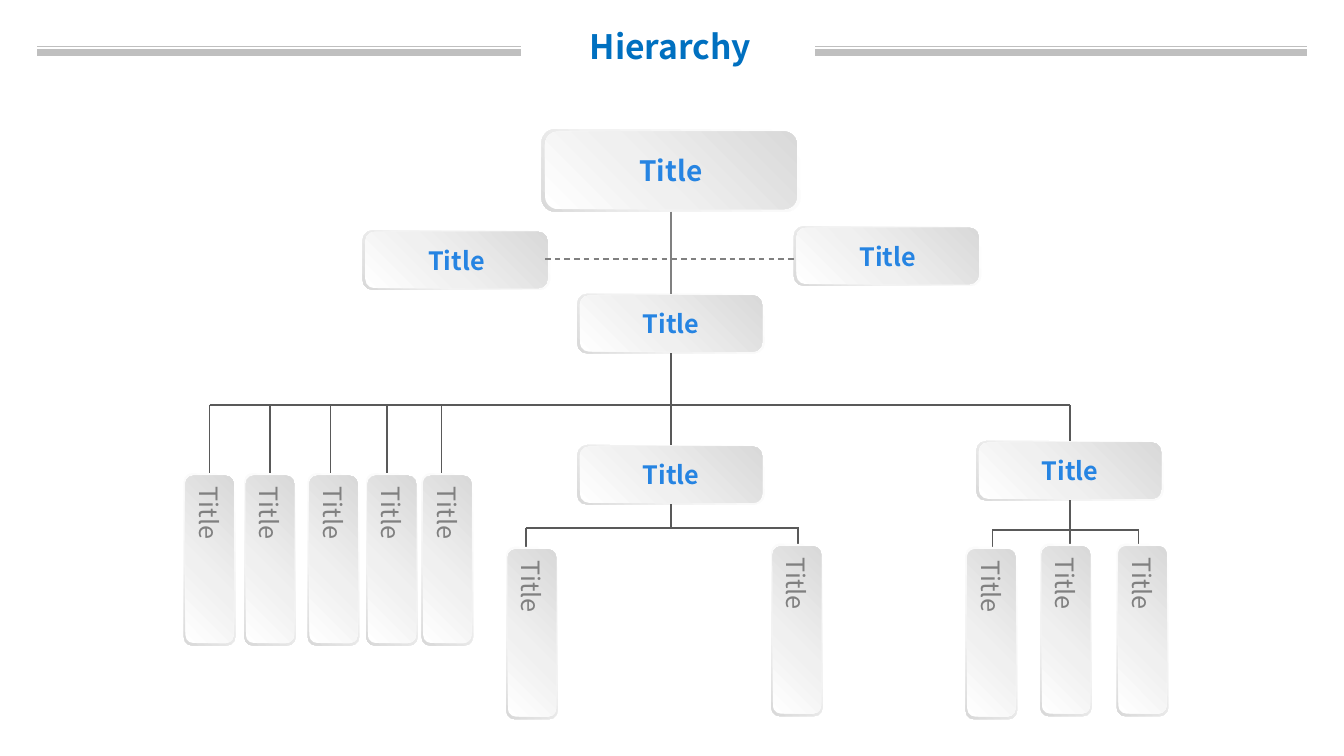
from dataclasses import dataclass
from typing import Optional

from lxml import etree
from pptx import Presentation
from pptx.dml.color import RGBColor
from pptx.enum.dml import MSO_LINE
from pptx.enum.shapes import MSO_CONNECTOR, MSO_SHAPE
from pptx.enum.text import MSO_ANCHOR, MSO_AUTO_SIZE, PP_ALIGN
from pptx.oxml import parse_xml
from pptx.oxml.ns import nsdecls, qn
from pptx.util import Inches, Pt

FONT = "Noto Sans CJK SC"
RULE, GREY, DARK = "BFBFBF", "808080", "595959"
RIM_STOPS = ((0, "FFFFFF"), (62, "F2F2F2"), (100, "D9D9D9"))
FACE_STOPS = ((0, "FFFFFF"), (42, "F0F0F0"), (100, "D9D9D9"))
BOTTOM, TOP = 2, 0


@dataclass(frozen=True)
class CardStyle:
    rim: tuple[float, float]
    face: tuple[float, float]
    label: tuple[float, float]
    size: int = 18
    color: str = "2684E2"
    vertical: bool = False


@dataclass(frozen=True)
class Card:
    x: float  # centre
    y: float
    style: CardStyle


@dataclass(frozen=True)
class Line:
    start: tuple[float, float]
    end: tuple[float, float]
    color: str = DARK
    width: float = 1
    dashed: bool = False
    above: Optional[str] = None  # card whose bottom the line leaves
    below: Optional[str] = None  # card whose top the line reaches


LARGE = CardStyle((2.57, 0.82), (2.5, 0.77), (1.04, 0.51), size=20)
SMALL = CardStyle((1.86, 0.59), (1.81, 0.56), (1.78, 0.51))
LEAF = CardStyle((1.71, 0.51), (1.66, 0.48), (0.52, 1.64), color=GREY, vertical=True)

AXIS, RIGHT = 6.66, 10.62
BUS, MIDDLE_BUS, RIGHT_BUS = 4.02, 5.24, 5.26

CARDS = {
    "head": Card(AXIS, 1.69, LARGE),
    "left aide": Card(4.53, 2.58, SMALL),
    "right aide": Card(8.81, 2.54, SMALL),
    "deputy": Card(AXIS, 3.21, SMALL),
    "middle branch": Card(AXIS, 4.71, SMALL),
    "right branch": Card(RIGHT, 4.67, SMALL),
}
LEAF_CENTRES = [(x, 5.55) for x in (2.08, 2.68, 3.31, 3.89, 4.44)] + [
    (5.28, 6.28), (7.91, 6.25), (9.84, 6.28), (10.58, 6.25), (11.34, 6.25)]

HEADING_RULES = [Line((left, y), (right, y), RULE, width)
                 for left, right in ((0.37, 5.17), (8.09, 12.97))
                 for y, width in ((0.46, 0.75), (0.52, 4.5))]
TREE_LINES = [
    Line((AXIS, 2.1), (AXIS, 2.92), GREY, above="head", below="deputy"),
    Line((5.41, 2.57), (7.88, 2.57), GREY, dashed=True),
    Line((AXIS, 3.5), (AXIS, 4.42), above="deputy", below="middle branch"),
    Line((2.08, BUS), (RIGHT, BUS)),
    Line((RIGHT, BUS), (RIGHT, 4.38), below="right branch"),
    Line((AXIS, 5.0), (AXIS, MIDDLE_BUS), above="middle branch"),
    Line((5.22, MIDDLE_BUS), (7.93, MIDDLE_BUS)),
    Line((RIGHT, 4.97), (RIGHT, 5.48), above="right branch"),
    Line((9.85, RIGHT_BUS), (11.31, RIGHT_BUS)),
] + [
    Line((x, bus), (x, end))
    for bus, end, xs in ((BUS, 4.85, (2.08, 2.68, 3.28, 3.84, 4.38)),
                         (MIDDLE_BUS, 5.48, (5.22, 7.92)),
                         (RIGHT_BUS, 5.48, (9.85, 11.3)))
    for x in xs
]


def rgb(color: str) -> RGBColor:
    return RGBColor.from_string(color)


def add_text(page, text: str, left: float, top: float, width: float, height: float, *,
             size: int, color: str, bold: bool = True, align=PP_ALIGN.CENTER,
             anchor=MSO_ANCHOR.MIDDLE, vertical: bool = False):
    box = page.shapes.add_textbox(*map(Inches, (left, top, width, height)))
    frame = box.text_frame
    frame.word_wrap = True
    frame.vertical_anchor = anchor
    if vertical:
        box.element.txBody.bodyPr.set("vert", "eaVert")
    para = frame.paragraphs[0]
    para.alignment = align
    span = para.add_run()
    span.text = text
    span.font.name, span.font.size, span.font.bold = FONT, Pt(size), bold
    span.font.color.rgb = rgb(color)
    return box


def add_panel(page, card: Card, size: tuple[float, float], stops, angle: int):
    """Add a rounded rectangle whose gradient keeps its angle when the shape turns."""
    width, height = size
    panel = page.shapes.add_shape(
        MSO_SHAPE.ROUNDED_RECTANGLE,
        *map(Inches, (card.x - width / 2, card.y - height / 2, width, height)))
    panel.shadow.inherit = False
    panel.line.fill.background()
    panel.rotation = 90 if card.style.vertical else 0
    stop_xml = "".join(f'<a:gs pos="{place * 1000}"><a:srgbClr val="{color}"/></a:gs>'
                       for place, color in stops)
    gradient = parse_xml(
        f'<a:gradFill {nsdecls("a")} rotWithShape="0"><a:gsLst>{stop_xml}</a:gsLst>'
        f'<a:lin ang="{angle * 60000}" scaled="0"/></a:gradFill>')
    panel.element.spPr.find(qn("a:prstGeom")).addnext(gradient)
    return panel


def add_card(page, card: Card):
    """Add a card and return its rim, the shape that connectors join."""
    style = card.style
    rim = add_panel(page, card, style.rim, RIM_STOPS, 135)
    add_panel(page, card, style.face, FACE_STOPS, 315)
    width, height = style.label
    add_text(page, "Title", card.x - width / 2, card.y - height / 2, width, height,
             size=style.size, color=style.color, bold=not style.vertical,
             align=PP_ALIGN.LEFT if style.vertical else PP_ALIGN.CENTER,
             vertical=style.vertical)
    return rim


def add_line(page, line: Line, rims: dict) -> None:
    connector = page.shapes.add_connector(
        MSO_CONNECTOR.STRAIGHT, *map(Inches, line.start + line.end))
    connector.line.color.rgb = rgb(line.color)
    connector.line.width = Pt(line.width)
    if line.dashed:
        connector.line.dash_style = MSO_LINE.DASH
    etree.SubElement(connector.element.spPr, qn("a:effectLst"))
    if line.above:
        connector.begin_connect(rims[line.above], BOTTOM)
    if line.below:
        connector.end_connect(rims[line.below], TOP)


def main() -> None:
    deck = Presentation()
    deck.slide_width, deck.slide_height = Inches(13.34), Inches(7.5)
    page = deck.slides.add_slide(deck.slide_layouts[6])

    heading = add_text(page, "Hierarchy", 5.22, 0.21, 2.87, 0.5, size=24,
                       color="0070C0", anchor=MSO_ANCHOR.TOP)
    heading.text_frame.auto_size = MSO_AUTO_SIZE.SHAPE_TO_FIT_TEXT

    rims = {name: add_card(page, card) for name, card in CARDS.items()}
    for line in HEADING_RULES + TREE_LINES:
        add_line(page, line, rims)
    for x, y in LEAF_CENTRES:
        add_card(page, Card(x, y, LEAF))

    deck.save("out.pptx")


if __name__ == "__main__":
    main()
